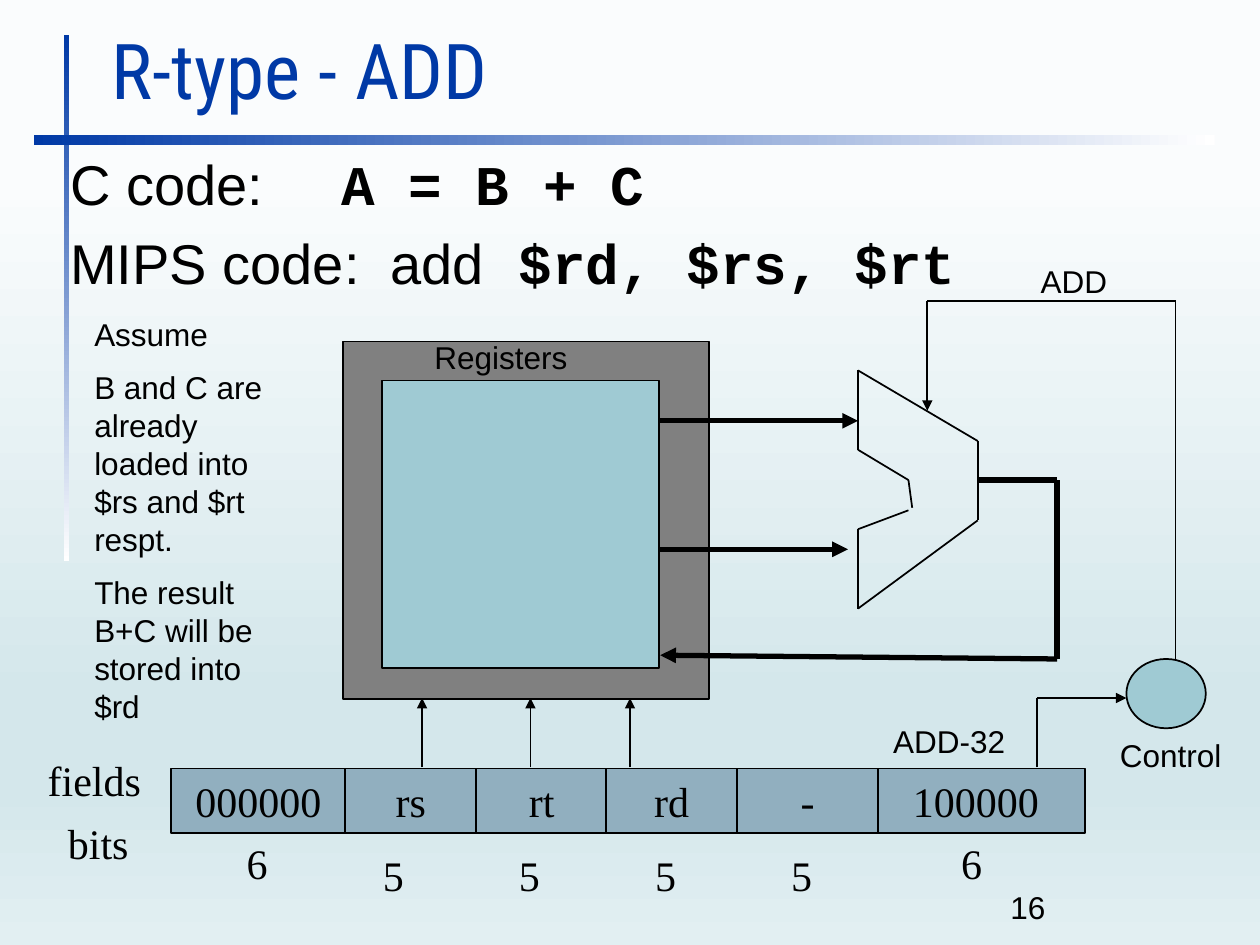
from itertools import pairwise

from lxml import etree
from pptx import Presentation
from pptx.dml.color import RGBColor
from pptx.enum.shapes import MSO_CONNECTOR, MSO_SHAPE
from pptx.enum.text import MSO_ANCHOR, PP_ALIGN
from pptx.oxml.ns import qn
from pptx.util import Inches, Pt

RECT, OVAL = MSO_SHAPE.RECTANGLE, MSO_SHAPE.OVAL
STRAIGHT = MSO_CONNECTOR.STRAIGHT
MIDDLE, CENTER = MSO_ANCHOR.MIDDLE, PP_ALIGN.CENTER

BLUE, WHITE, BLACK = "0039A6", "FFFFFF", "000000"
GRAY, TEAL, STEEL = "808080", "9FCAD3", "91AFBF"
SANS, MONO, SERIF = "Arial", "Courier New", "Times New Roman"
DOWN, RIGHT = 270, 0


def color(hex_code):
    return RGBColor.from_string(hex_code)


def fill_gradient(fill, element, stops, angle):
    """Fill with (percent, hex) stops; element is the XML that holds the fill."""
    fill.gradient()
    fill.gradient_angle = angle
    stop_list = next(element.iter(qn("a:gsLst")))
    for old_stop in list(stop_list):
        stop_list.remove(old_stop)
    for percent, hex_code in stops:
        stop = etree.SubElement(stop_list, qn("a:gs"), pos=str(percent * 1000))
        etree.SubElement(stop, qn("a:srgbClr"), val=hex_code)


class DiagramSlide:
    """Holds the current slide and draws its elements in one style."""

    def __init__(self, slide):
        self.slide = slide

    def background(self, stops):
        fill_gradient(self.slide.background.fill, self.slide._element, stops, DOWN)

    def shape(self, kind, *box):
        shape = self.slide.shapes.add_shape(kind, *map(Inches, box))
        shape.shadow.inherit = False
        return shape

    def gradient_bar(self, box, angle):
        bar = self.shape(RECT, *box)
        fill_gradient(bar.fill, bar._element, [(0, BLUE), (100, WHITE)], angle)
        bar.line.fill.background()

    def block(self, kind, box, fill, label=None):
        block = self.shape(kind, *box)
        block.fill.solid()
        block.fill.fore_color.rgb = color(fill)
        block.line.color.rgb = color(BLACK)
        block.line.width = Pt(1)
        if label:
            self.fill_text(block.text_frame, [label], 24, SERIF, BLACK)
            block.text_frame.paragraphs[0].alignment = CENTER

    def fill_text(self, frame, lines, size, font, hex_code):
        """Add paragraphs; a line is a string or a list of (text, font, bold)."""
        frame.word_wrap = True
        for i, line in enumerate(lines):
            paragraph = frame.paragraphs[0] if i == 0 else frame.add_paragraph()
            if isinstance(line, str):
                paragraph.text = line
                paragraph.font.name = font
            else:
                for text, run_font, bold in line:
                    run = paragraph.add_run()
                    run.text = text
                    run.font.name = run_font
                    run.font.bold = bold
            paragraph.font.size = Pt(size)
            paragraph.font.color.rgb = color(hex_code)

    def text(self, box, lines, size=18, font=SANS, hex_code=BLACK, gap=0):
        frame = self.slide.shapes.add_textbox(*map(Inches, box)).text_frame
        self.fill_text(frame, lines, size, font, hex_code)
        for paragraph in frame.paragraphs[1:]:
            paragraph.space_before = Pt(gap)
        return frame

    def route(self, *points, width=1, arrow=True):
        """Join the points by straight lines, with an arrowhead on the last."""
        for start, end in pairwise(points):
            line = self.slide.shapes.add_connector(
                STRAIGHT, *map(Inches, (*start, *end)))
            line.line.color.rgb = color(BLACK)
            line.line.width = Pt(width)
            etree.SubElement(line._element.spPr, qn("a:effectLst"))
        if arrow:
            outline = line._element.spPr.find(qn("a:ln"))
            etree.SubElement(outline, qn("a:tailEnd"), type="triangle")


def draw_heading(page):
    page.background([(19, "FAFCFD"), (74, "D4E7EB"), (83, "D4E7EB"), (100, "E2EFF2")])
    page.gradient_bar((0.51, 0.28, 0.04, 4.17), DOWN)
    page.gradient_bar((0.27, 1.07, 9.37, 0.08), RIGHT)
    page.text((7.92, 7, 2.08, 0.5), ["16"])
    title = page.text((0.79, 0.13, 8.71, 0.83), ["R-type - ADD"],
                      44, "Roboto Condensed", BLUE)
    title.vertical_anchor = MIDDLE
    code = page.text((0.46, 1.14, 8.83, 1.17), [
        [("C code:     ", SANS, False), ("A = B + C", MONO, True)],
        [("MIPS code:  add", SANS, False), (" $rd, $rs, $rt", MONO, True)],
    ], size=32, gap=6.4)
    for paragraph in code.paragraphs:
        properties = paragraph._p.get_or_add_pPr()
        properties.set("marL", str(Inches(0.38)))
        properties.set("indent", str(Inches(-0.38)))


def draw_instruction(page):
    fields = [("000000", 1.36, 1.38), ("rs", 2.74, 1.04), ("100000", 6.88, 1.73),
              ("rt", 3.78, 1.04), ("rd", 4.81, 1.04), ("-", 5.85, 1.12)]
    for name, left, width in fields:
        page.block(RECT, (left, 6.1, width, 0.51), STEEL, name)
    for name, left, top in [("fields", 0.28, 5.94), ("bits", 0.44, 6.44)]:
        page.text((left, top, 1.08, 0.5), [name], 24, SERIF)
    bits = [("6", 1.86, 6.6), ("6", 7.53, 6.6)]
    bits += [("5", 2.94 + 1.08 * i, 6.69) for i in range(4)]
    for count, left, top in bits:
        page.text((left, top, 0.58, 0.5), [count], 24, SERIF)


def draw_datapath(page):
    page.block(RECT, (3.03, 3.02, 2.2, 2.28), TEAL)
    for x in (3.35, 4.21, 5):
        page.route((x, 6.09), (x, 5.54))
    page.route((5.24, 3.34), (6.81, 3.34), width=3)
    page.route((5.24, 4.36), (6.73, 4.36), width=3)

    # ALU outline, upper notch and then the rest
    page.route((6.81, 2.94), (6.81, 3.57), (7.21, 3.81), (7.24, 4.03), arrow=False)
    page.route((6.81, 2.94), (7.76, 3.5), (7.76, 4.13), (6.81, 4.83),
               (6.81, 4.2), (7.21, 4.05), arrow=False)

    # Result back to the registers, then the control signals
    page.route((7.76, 3.81), (8.39, 3.81), (8.39, 5.23), (5.24, 5.2), width=3)
    page.route((9.33, 5.23), (9.33, 2.39), (7.36, 2.39), (7.36, 3.26))
    page.block(OVAL, (8.94, 5.23, 0.63, 0.55), TEAL)
    page.route((8.23, 6.09), (8.23, 5.54), (8.94, 5.54))


def draw_labels(page):
    page.text((6.99, 5.68, 1.42, 0.4), ["ADD-32"])
    page.text((3.35, 2.63, 2.13, 0.48), ["Registers"])
    page.text((8.79, 5.79, 1.26, 0.48), ["Control"])
    page.text((8.16, 2.03, 1.42, 0.71), ["ADD"])
    page.text((0.65, 2.45, 1.73, 3.43), [
        "Assume",
        "B and C are already loaded into $rs and $rt\nrespt.",
        "The result B+C will be stored into $rd",
    ], gap=9)


def main():
    deck = Presentation()
    deck.slide_width, deck.slide_height = Inches(10), Inches(7.5)
    page = DiagramSlide(deck.slides.add_slide(deck.slide_layouts[6]))
    page.block(RECT, (2.72, 2.71, 2.91, 2.84), GRAY)
    draw_heading(page)
    draw_instruction(page)
    draw_datapath(page)
    draw_labels(page)
    deck.save("out.pptx")


if __name__ == "__main__":
    main()
